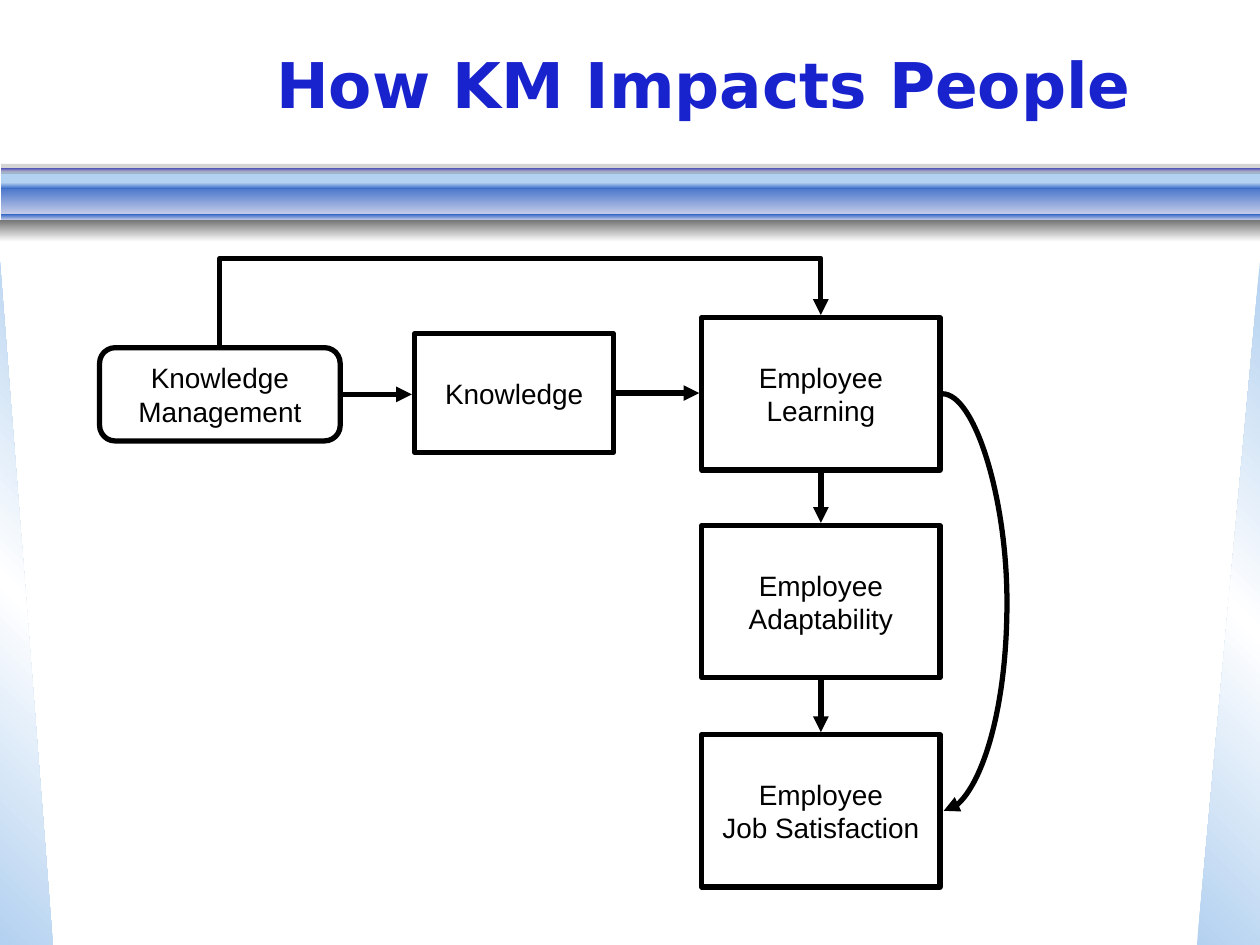
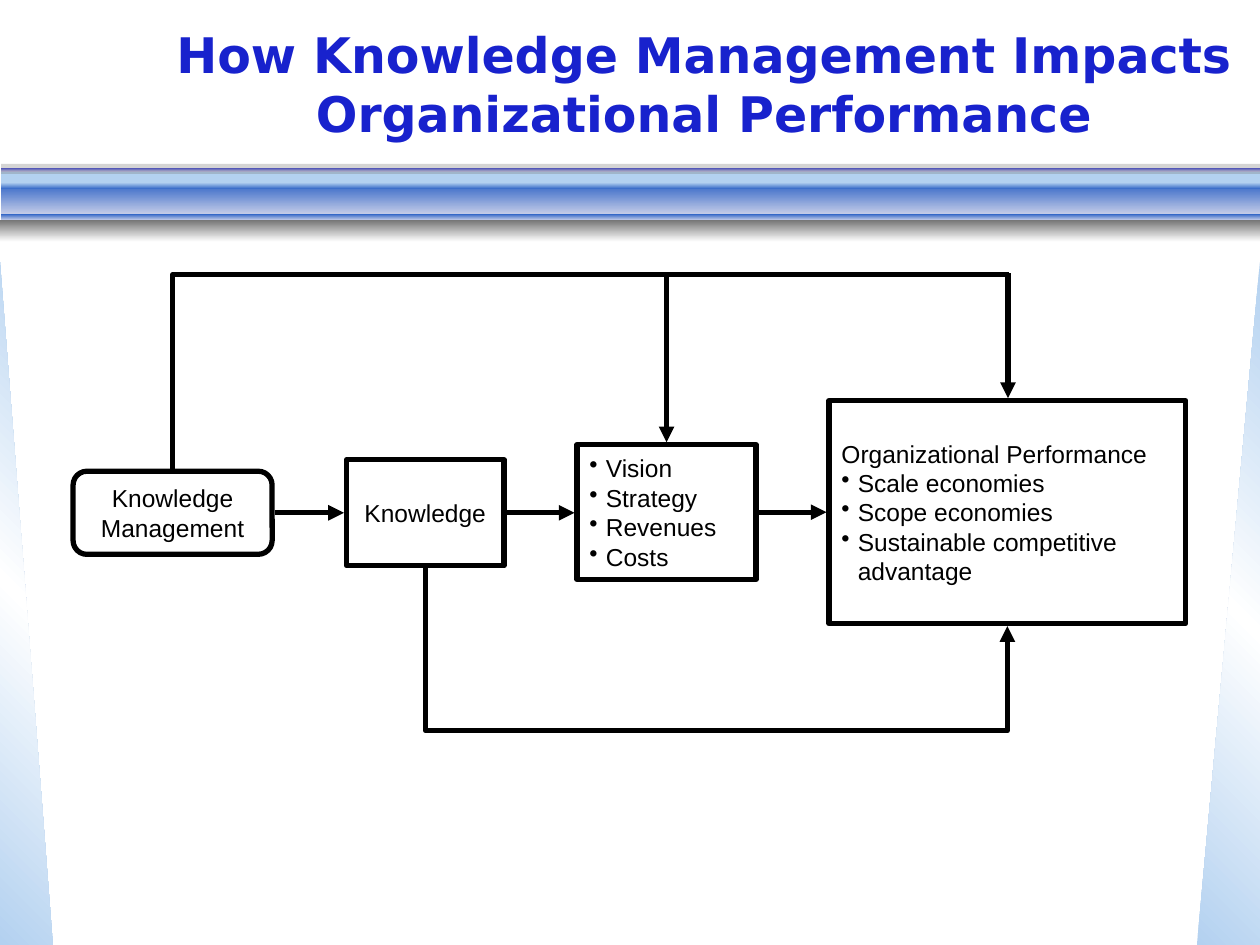
from pptx import Presentation
from pptx.dml.color import RGBColor
from pptx.enum.shapes import MSO_CONNECTOR as LINK, MSO_SHAPE as SHAPE
from pptx.enum.text import MSO_ANCHOR as ANCHOR, MSO_AUTO_SIZE as AUTOSIZE, PP_ALIGN as ALIGN
from pptx.oxml import parse_xml
from pptx.oxml.ns import nsdecls, qn
from pptx.util import Inches, Pt
from lxml import etree

INK, TITLE_BLUE, SKY, BLUE, MIST, GREY, WHITE = (
    "000000", "1822CD", "B3D1F0", "3568C7", "CAD0E9", "777777", "FFFFFF")
BODY_FONT, TITLE_FONT = "Arial", "DejaVu Sans"
STROKE, GAP, HANG = 3, 0.02, 0.13

DECOR = [
    (SHAPE.RIGHT_TRIANGLE, (0, 2.08, 0.42, 5.42), [SKY, WHITE, SKY], 315, None),
    (SHAPE.RIGHT_TRIANGLE, (9.5, 2.08, 0.5, 5.42), [SKY, WHITE, SKY], 45, "flipH"),
    (SHAPE.RECTANGLE, (0.01, 1.36, 9.99, 0.1), [SKY], 100, "flipV"),
    (SHAPE.RECTANGLE, (0.01, 1.46, 9.99, 0.25), [BLUE, MIST], 90, None),
    (SHAPE.RECTANGLE, (0.01, 1.33, 9.99, 0.03), [TITLE_BLUE, "BABBE7"], 90, None),
    (SHAPE.RECTANGLE, (0.01, 1.7, 9.99, 0.05), [MIST, BLUE], 90, "flipV"),
    (SHAPE.RECTANGLE, (0.01, 1.45, 9.99, 0.05), [SKY, BLUE], 90, None),
    (SHAPE.RECTANGLE, (0, 1.75, 10, 0.17), [GREY, WHITE], 90, None),
    (SHAPE.RECTANGLE, (0.01, 1.3, 9.99, 0.08), [GREY], 31, None),
]

SLIDES = [
    {
        "title": "How KM Impacts People", "title_size": 36, "size": 16,
        "boxes": {
            "knowledge": ((3.29, 2.65, 1.58, 0.94), ["Knowledge"]),
            "learning": ((5.57, 2.52, 1.89, 1.21), ["Employee Learning"]),
            "management": ((0.79, 2.76, 1.91, 0.74), ["Knowledge Management"]),
            "adaptability": ((5.57, 4.17, 1.89, 1.21), ["Employee Adaptability"]),
            "satisfaction": ((5.57, 5.83, 1.89, 1.21), ["Employee", "Job Satisfaction"]),
        },
        "across": ["management", "knowledge", "learning"],
        "down": ["learning", "adaptability", "satisfaction"],
        "elbows": [("management", "learning", "top", 2.05)],
        "curves": [("learning", "satisfaction", 8)],
        "branch": [],
    },
    {
        "title": "How Knowledge Management Impacts Organizational Performance",
        "title_size": 28, "size": 14,
        "boxes": {
            "knowledge": ((2.75, 3.65, 1.25, 0.84), ["Knowledge"]),
            "drivers": ((4.58, 3.53, 1.42, 1.07),
                        ["• Vision", "• Strategy", "• Revenues", "• Costs"]),
            "management": ((0.58, 3.74, 1.58, 0.66), ["Knowledge Management"]),
            "performance": ((6.58, 3.18, 2.83, 1.77), [
                "Organizational Performance", "• Scale economies", "• Scope economies",
                "• Sustainable competitive advantage"]),
        },
        "across": ["management", "knowledge", "drivers", "performance"],
        "down": [],
        "elbows": [("management", "drivers", "top", 2.18),
                   ("knowledge", "performance", "bottom", 5.8)],
        "curves": [],
        "branch": [((5.18, 2.18), (8.01, 2.18), False), ((8, 2.17), (8, 3.16), True)],
    },
]


def color(value):
    return RGBColor.from_string(value)


def apply(target, **values):
    for key, value in values.items():
        setattr(target, key, value)


def style_text(paragraph, face, size, hue, align, bold=False):
    paragraph.alignment = align
    apply(paragraph.font, name=face, size=Pt(size), bold=bold)
    paragraph.font.color.rgb = color(hue)


def fill_xml(hues, angle_or_alpha):
    if len(hues) == 1:
        return parse_xml(
            f'<a:solidFill {nsdecls("a")}><a:srgbClr val="{hues[0]}">'
            f'<a:alpha val="{angle_or_alpha * 1000}"/></a:srgbClr></a:solidFill>')
    stops = "".join(
        f'<a:gs pos="{i * 100000 // (len(hues) - 1)}"><a:srgbClr val="{hue}"/></a:gs>'
        for i, hue in enumerate(hues))
    return parse_xml(
        f'<a:gradFill {nsdecls("a")} rotWithShape="1"><a:gsLst>{stops}</a:gsLst>'
        f'<a:lin ang="{angle_or_alpha * 60000}" scaled="1"/></a:gradFill>')


def decorate(master, slide):
    for i, (kind, place, hues, setting, flip) in enumerate(DECOR):
        part = slide.shapes.add_shape(kind, *map(Inches, place))
        part.shadow.inherit = False
        part.line.fill.background()
        props = part.element.spPr
        props.insert(2, fill_xml(hues, setting))
        if flip:
            props.find(qn("a:xfrm")).set(flip, "1")
        part.element.nvSpPr.cNvPr.set("id", str(100 + i))
        master.shapes.element.insert(2 + i, part.element)


def add_title(slide, text, size):
    title = slide.shapes.title
    apply(title, left=Inches(1.25), top=Inches(0.08), width=Inches(8.67), height=Inches(1.17))
    frame = title.text_frame
    frame.text = text
    apply(frame, vertical_anchor=ANCHOR.MIDDLE, word_wrap=True, auto_size=AUTOSIZE.NONE)
    style_text(frame.paragraphs[0], TITLE_FONT, size, TITLE_BLUE, ALIGN.CENTER, True)


def add_box(slide, place, lines, size, rounded):
    kind = SHAPE.ROUNDED_RECTANGLE if rounded else SHAPE.RECTANGLE
    box = slide.shapes.add_shape(kind, *map(Inches, place))
    box.shadow.inherit = False
    box.fill.background()
    box.line.color.rgb = color(INK)
    box.line.width = Pt(STROKE)
    frame = box.text_frame
    apply(frame, word_wrap=True, vertical_anchor=ANCHOR.MIDDLE)
    frame.text = "\n".join(line.removeprefix("• ") for line in lines)
    listed = any(line.startswith("•") for line in lines)
    for paragraph, line in zip(frame.paragraphs, lines):
        style_text(paragraph, BODY_FONT, size, INK, ALIGN.LEFT if listed else ALIGN.CENTER)
        if line.startswith("•"):
            props = paragraph._p.get_or_add_pPr()
            props.set("marL", str(Inches(HANG)))
            props.set("indent", str(-Inches(HANG)))
            bullet = parse_xml(f'<a:buChar {nsdecls("a")} char="•"/>')
            props.insert_element_before(bullet, "a:tabLst", "a:defRPr", "a:extLst")


def edge(place, side):
    left, top, width, height = place
    middle, centre = left + width / 2, top + height / 2
    return {"left": (left - GAP, centre), "right": (left + width + GAP, centre),
            "top": (middle, top - GAP), "bottom": (middle, top + height + GAP)}[side]


def add_link(slide, start, end, kind=LINK.STRAIGHT, arrow=True, bend=None, turn=0):
    link = slide.shapes.add_connector(kind, *map(Inches, (*start, *end)))
    link.line.color.rgb = color(INK)
    link.line.width = Pt(STROKE)
    props = link.element.spPr
    if arrow:
        etree.SubElement(props.find(qn("a:ln")), qn("a:tailEnd"), type="triangle")
    etree.SubElement(props, qn("a:effectLst"))
    if turn:
        props.find(qn("a:xfrm")).set("rot", str(turn * 60000))
    if bend is not None:
        guides = props.find(qn("a:prstGeom")).get_or_add_avLst()
        etree.SubElement(guides, qn("a:gd"), name="adj1", fmla=f"val {round(bend * 100000)}")


def add_elbow(slide, start, end, level):
    (x1, y1), (x2, y2) = start, end
    middle, centre, run, rise = (x1 + x2) / 2, (y1 + y2) / 2, x2 - x1, y2 - y1
    add_link(slide, (middle + rise / 2, centre - run / 2), (middle - rise / 2, centre + run / 2),
             LINK.ELBOW, bend=(level - y1) / rise, turn=270)


def add_curve(slide, start, end, reach):
    near = (start[0] + 0.01, end[1])
    add_link(slide, start, near, LINK.CURVE, bend=(reach - start[0]) / 0.01)


def add_flow(slide, content):
    places = {key: place for key, (place, _) in content["boxes"].items()}
    for key, (place, lines) in content["boxes"].items():
        add_box(slide, place, lines, content["size"], key == "management")
    row, column = content["across"], content["down"]
    for a, b in zip(row, row[1:]):
        start, end = edge(places[a], "right"), edge(places[b], "left")
        add_link(slide, start, (end[0], start[1]))
    for a, b in zip(column, column[1:]):
        add_link(slide, edge(places[a], "bottom"), edge(places[b], "top"))
    for a, b, side, level in content["elbows"]:
        add_elbow(slide, edge(places[a], side), edge(places[b], side), level)
    for a, b, reach in content["curves"]:
        add_curve(slide, edge(places[a], "right"), edge(places[b], "right"), reach)
    for start, end, arrow in content["branch"]:
        add_link(slide, start, end, arrow=arrow)


deck = Presentation()
deck.slide_width, deck.slide_height = Inches(10), Inches(7.5)
title_only = deck.slide_layouts[5]
for number, content in enumerate(SLIDES):
    slide = deck.slides.add_slide(title_only)
    if number == 0:
        decorate(deck.slide_master, slide)
    add_title(slide, content["title"], content["title_size"])
    add_flow(slide, content)
deck.save("out.pptx")
